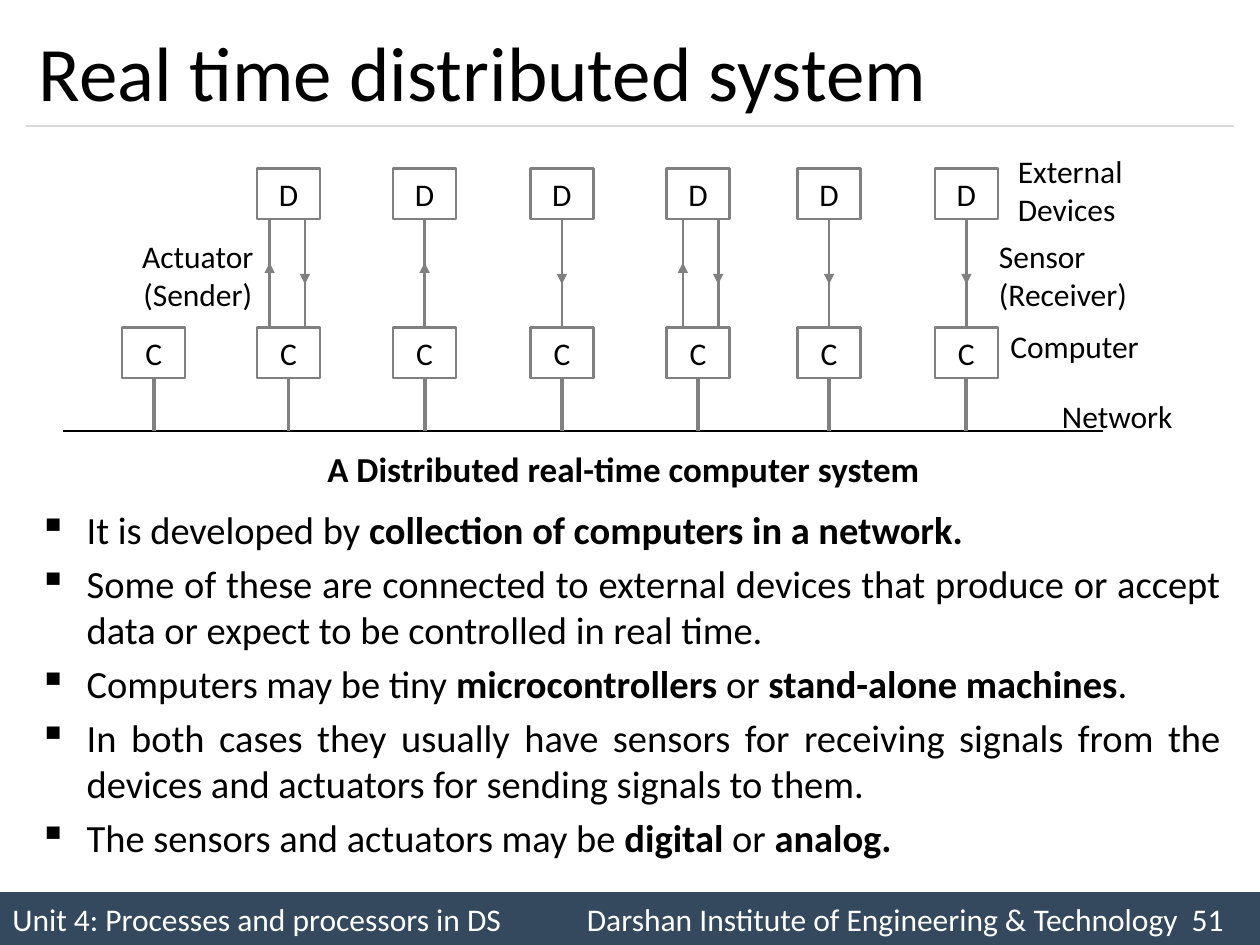
from dataclasses import dataclass

from lxml.etree import SubElement
from pptx import Presentation
from pptx.dml.color import RGBColor
from pptx.enum.shapes import MSO_CONNECTOR, MSO_SHAPE
from pptx.enum.text import MSO_ANCHOR, PP_ALIGN
from pptx.oxml.ns import qn
from pptx.util import Inches, Pt


@dataclass(frozen=True)
class Theme:
    font: str = "Calibri"
    ink: RGBColor = RGBColor(0x00, 0x00, 0x00)
    paper: RGBColor = RGBColor(0xFF, 0xFF, 0xFF)
    wire: RGBColor = RGBColor(0x80, 0x80, 0x80)
    rule: RGBColor = RGBColor(0xD9, 0xD9, 0xD9)
    footer: RGBColor = RGBColor(0x34, 0x49, 0x5E)
    title_size: int = 44
    body_size: int = 22
    caption_size: int = 20
    label_size: int = 18


THEME = Theme()

NODE_WIDTH, NODE_HEIGHT = 0.5, 0.4
DEVICE_TOP, COMPUTER_TOP, NETWORK_Y = 1.34, 2.6, 3.42
DEVICE_BOTTOM = DEVICE_TOP + NODE_HEIGHT
COMPUTER_BOTTOM = COMPUTER_TOP + NODE_HEIGHT

# Centre of each computer, with its signals as (offset from centre, direction)
STATIONS = [
    (1.22, []),
    (2.29, [(-0.15, "up"), (0.13, "down")]),
    (3.37, [(0, "up")]),
    (4.46, [(0, "down")]),
    (5.54, [(-0.12, "up"), (0.16, "down")]),
    (6.58, [(0, "down")]),
    (7.67, [(0, "down")]),
]

LABELS = [
    (8.33, 3.1, 1.09, ["Network"]),
    (7.92, 2.55, 1.23, ["Computer"]),
    (7.83, 1.83, 1.23, ["Sensor", "(Receiver)"]),
    (7.98, 1.16, 1.04, ["External", "Devices"]),
]

# Each point is a list of (text, bold) runs
POINTS = [
    [("It is developed by ", False),
     ("collection of computers in a network.", True)],
    [("Some of these are connected to external devices that produce or accept "
      "data or expect to be controlled in real time.", False)],
    [("Computers may be tiny ", False), ("microcontrollers ", True),
     ("or ", False), ("stand-alone machines", True), (".", False)],
    [("In both cases they usually have sensors for receiving signals from the "
      "devices and actuators for sending signals to them.", False)],
    [("The sensors and actuators may be ", False), ("digital ", True),
     ("or ", False), ("analog.", True)],
]


def add_run(paragraph, text, size, color=THEME.ink, bold=False):
    run = paragraph.add_run()
    run.text = text
    run.font.name = THEME.font
    run.font.size = Pt(size)
    run.font.color.rgb = color
    run.font.bold = bold


def add_text(slide, left, top, width, height, lines, size, bold=False,
             align=PP_ALIGN.LEFT, anchor=MSO_ANCHOR.TOP, wrap=True):
    box = slide.shapes.add_textbox(Inches(left), Inches(top), Inches(width), Inches(height))
    frame = box.text_frame
    frame.word_wrap = wrap
    frame.vertical_anchor = anchor
    for index, line in enumerate(lines):
        paragraph = frame.add_paragraph() if index else frame.paragraphs[0]
        paragraph.alignment = align
        add_run(paragraph, line, size, bold=bold)


def add_line(slide, start, end, color, width, arrow=False):
    line = slide.shapes.add_connector(
        MSO_CONNECTOR.STRAIGHT, *(Inches(value) for value in (*start, *end)))
    line.line.color.rgb = color
    line.line.width = Pt(width)
    if arrow:
        SubElement(line.line._get_or_add_ln(), qn("a:tailEnd"), type="triangle")
    SubElement(line._element.spPr, qn("a:effectLst"))


def add_node(slide, center, top, letter):
    node = slide.shapes.add_shape(
        MSO_SHAPE.RECTANGLE, Inches(center - NODE_WIDTH / 2), Inches(top),
        Inches(NODE_WIDTH), Inches(NODE_HEIGHT))
    node.shadow.inherit = False
    node.fill.background()
    node.line.color.rgb = THEME.wire
    node.line.width = Pt(1.5)
    node.text_frame.vertical_anchor = MSO_ANCHOR.TOP
    paragraph = node.text_frame.paragraphs[0]
    paragraph.alignment = PP_ALIGN.CENTER
    add_run(paragraph, letter, THEME.label_size)


def add_signal(slide, x, direction):
    """Join device and computer by a line with an arrowhead part-way along."""
    start, end = DEVICE_BOTTOM, COMPUTER_TOP
    if direction == "up":
        start, end = end, start
    span = end - start
    add_line(slide, (x, start), (x, start + 0.6 * span), THEME.wire, 1.5, arrow=True)
    add_line(slide, (x, start + 0.4 * span), (x, end), THEME.wire, 1.5)


def add_diagram(slide):
    add_line(slide, (0.5, NETWORK_Y), (8.75, NETWORK_Y), THEME.ink, 1.5)
    for center, signals in STATIONS:
        add_node(slide, center, COMPUTER_TOP, "C")
        add_line(slide, (center, COMPUTER_BOTTOM), (center, NETWORK_Y), THEME.wire, 2.25)
        if signals:
            add_node(slide, center, DEVICE_TOP, "D")
        for offset, direction in signals:
            add_signal(slide, center + offset, direction)
    for left, top, width, lines in LABELS:
        height = 0.4 if len(lines) == 1 else 0.71
        add_text(slide, left, top, width, height, lines, THEME.label_size, wrap=False)
    add_text(slide, 0.97, 1.83, 1.2, 0.71, ["Actuator", "(Sender)"],
             THEME.label_size, align=PP_ALIGN.CENTER)
    add_text(slide, 2.5, 3.5, 4.94, 0.44, ["A Distributed real-time computer system"],
             THEME.caption_size, bold=True)


def add_points(slide):
    box = slide.shapes.add_textbox(Inches(0.21), Inches(3.97), Inches(9.58), Inches(3.03))
    frame = box.text_frame
    frame.word_wrap = True
    for index, runs in enumerate(POINTS):
        paragraph = frame.add_paragraph() if index else frame.paragraphs[0]
        paragraph.alignment = PP_ALIGN.JUSTIFY
        if index:
            paragraph.space_before = Pt(0.2 * THEME.body_size)
        properties = paragraph._p.get_or_add_pPr()
        properties.set("marL", str(Inches(0.38)))
        properties.set("indent", str(-Inches(0.38)))
        SubElement(properties, qn("a:buChar"), char="▪")
        for text, bold in runs:
            add_run(paragraph, text, THEME.body_size, bold=bold)


def add_footer(slide):
    bar = slide.shapes.add_shape(
        MSO_SHAPE.RECTANGLE, Inches(0), Inches(7.08), Inches(10), Inches(0.42))
    bar.shadow.inherit = False
    bar.fill.solid()
    bar.fill.fore_color.rgb = THEME.footer
    bar.line.fill.background()
    bar.text_frame.vertical_anchor = MSO_ANCHOR.MIDDLE
    paragraph = bar.text_frame.paragraphs[0]
    paragraph.alignment = PP_ALIGN.LEFT
    tabs = SubElement(paragraph._p.get_or_add_pPr(), qn("a:tabLst"))
    for position in (4.56, 9.36):
        SubElement(tabs, qn("a:tab"), pos=str(Inches(position)), algn="l")
    add_run(paragraph, "Unit 4: Processes and processors in DS\t"
            "Darshan Institute of Engineering & Technology\t51",
            THEME.label_size, THEME.paper)


def main():
    deck = Presentation()
    deck.slide_width, deck.slide_height = Inches(10), Inches(7.5)
    slide = deck.slides.add_slide(deck.slide_layouts[6])
    add_footer(slide)
    add_line(slide, (0.21, 1), (9.79, 1), THEME.rule, 0.75)
    add_text(slide, 0.21, 0.12, 9.58, 0.88, ["Real time distributed system"],
             THEME.title_size, anchor=MSO_ANCHOR.MIDDLE)
    add_points(slide)
    add_diagram(slide)
    deck.save("out.pptx")


if __name__ == "__main__":
    main()
